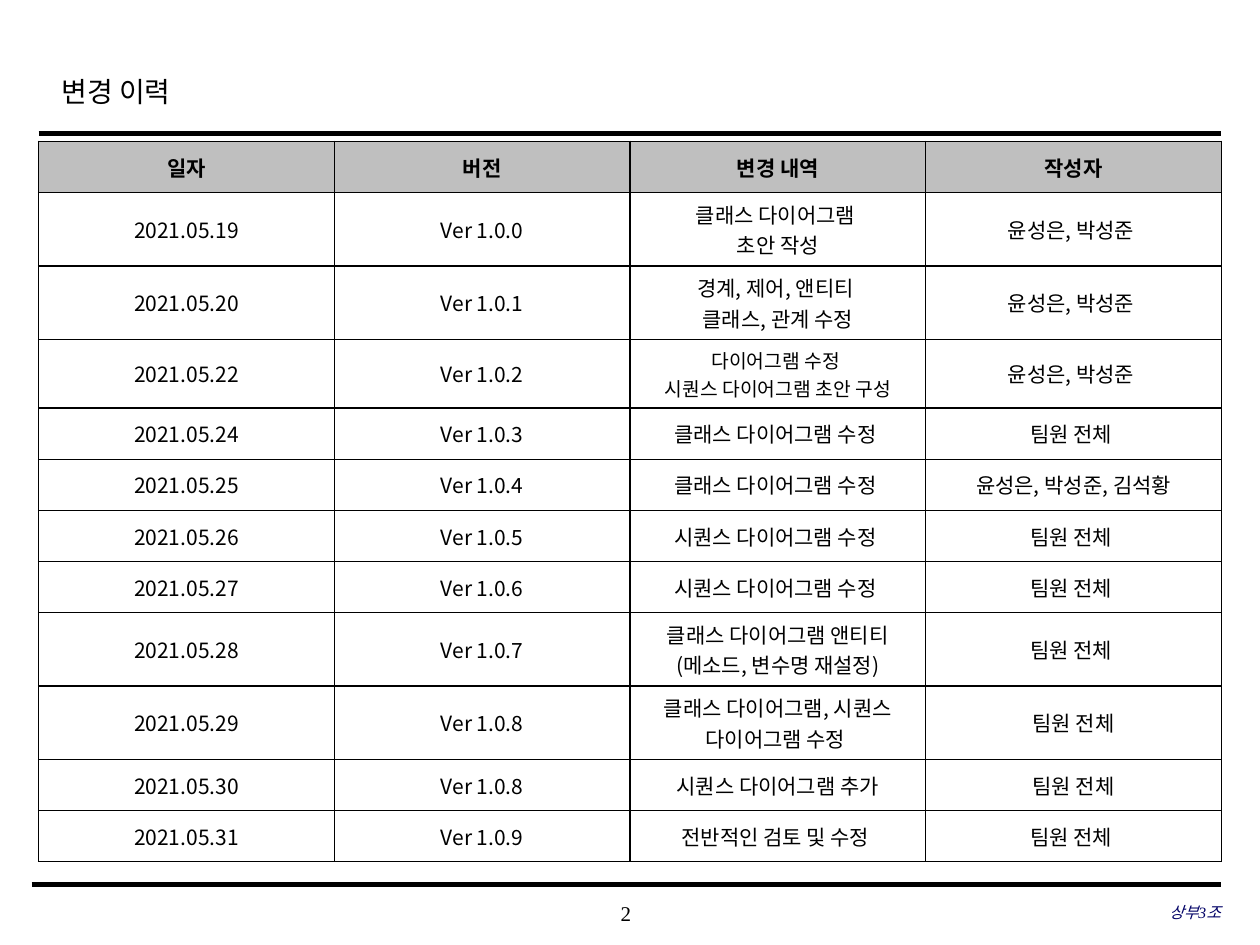
from dataclasses import dataclass

from lxml.etree import SubElement
from pptx import Presentation
from pptx.dml.color import RGBColor
from pptx.enum.shapes import MSO_CONNECTOR
from pptx.enum.text import MSO_ANCHOR, PP_ALIGN
from pptx.oxml.ns import qn
from pptx.slide import Slide
from pptx.table import _Cell
from pptx.text.text import TextFrame
from pptx.util import Cm, Pt

KOREAN = "Noto Sans CJK KR"
SERIF = "Times New Roman"
BLACK = "000000"
HEADINGS = ("일자", "버전", "변경 내역", "작성자")
COLUMN_WIDTH = 5.96
ROW_HEIGHT = 1.03
TALL_ROW = 1.48
COMPACT_ROW = 1.39


@dataclass
class Style:
    size: float
    font: str = KOREAN
    color: str = BLACK
    bold: bool = False
    italic: bool = False
    align: PP_ALIGN = PP_ALIGN.CENTER


@dataclass
class Revision:
    date: str
    version: str
    change: str
    authors: str
    height: float = ROW_HEIGHT
    change_size: float = 12


@dataclass
class Rule:
    left: float
    right: float
    y: float
    weight: float


@dataclass
class FooterText:
    left: float
    top: float
    width: float
    text: str
    style: Style


PAIR = "윤성은, 박성준 "
TEAM = "팀원 전체 "

REVISIONS = (
    Revision("2021.05.19", "Ver 1.0.0", "클래스 다이어그램 \n초안 작성", PAIR, TALL_ROW),
    Revision("2021.05.20", "Ver 1.0.1", "경계, 제어, 앤티티 \n클래스, 관계 수정", PAIR, TALL_ROW),
    Revision("2021.05.22", "Ver 1.0.2", "다이어그램 수정 \n시퀀스 다이어그램 초안 구성", PAIR,
             COMPACT_ROW, 11),
    Revision("2021.05.24", "Ver 1.0.3", "클래스 다이어그램 수정 ", TEAM),
    Revision("2021.05.25", "Ver 1.0.4", "클래스 다이어그램 수정 ", "윤성은, 박성준, 김석황"),
    Revision("2021.05.26", "Ver 1.0.5", "시퀀스 다이어그램 수정 ", TEAM),
    Revision("2021.05.27", "Ver 1.0.6", "시퀀스 다이어그램 수정 ", TEAM),
    Revision("2021.05.28", "Ver 1.0.7", "클래스 다이어그램 앤티티(메소드, 변수명 재설정)", TEAM, TALL_ROW),
    Revision("2021.05.29", "Ver 1.0.8", "클래스 다이어그램, 시퀀스 다이어그램 수정 ", "팀원 전체", TALL_ROW),
    Revision("2021.05.30", "Ver 1.0.8", "시퀀스 다이어그램 추가", "팀원 전체"),
    Revision("2021.05.31", "Ver 1.0.9", "전반적인 검토 및 수정 ", TEAM),
)

RULES = (Rule(0.78, 24.61, 2.69, 2.5), Rule(0.64, 24.61, 17.83, 3))

FOOTERS = (
    FooterText(9.98, 17.98, 5.28, "2", Style(12, SERIF)),
    FooterText(16.84, 17.96, 7.77, "상부3조",
               Style(9, SERIF, "000066", italic=True, align=PP_ALIGN.RIGHT)),
)


def rgb(value: str) -> RGBColor:
    return RGBColor.from_string(value)


def write(frame: TextFrame, text: str, style: Style) -> None:
    frame.text = text
    for paragraph in frame.paragraphs:
        paragraph.alignment = style.align
        for run in paragraph.runs:
            run.font.size = Pt(style.size)
            run.font.name = style.font
            run.font.bold = style.bold
            run.font.italic = style.italic
            run.font.color.rgb = rgb(style.color)
            SubElement(run.font._element, qn("a:ea"), typeface=KOREAN)


def draw_title(slide: Slide, text: str) -> None:
    title = slide.shapes.title
    title.left, title.top, title.width, title.height = Cm(0.99), Cm(1.24), Cm(19.18), Cm(1.27)
    write(title.text_frame, text, Style(16, SERIF, align=PP_ALIGN.LEFT))
    title.text_frame.vertical_anchor = MSO_ANCHOR.TOP
    title.text_frame.paragraphs[0].line_spacing = 1.2


def draw_rule(slide: Slide, rule: Rule) -> None:
    connector = slide.shapes.add_connector(
        MSO_CONNECTOR.STRAIGHT, Cm(rule.left), Cm(rule.y), Cm(rule.right), Cm(rule.y))
    connector.line.color.rgb = rgb(BLACK)
    connector.line.width = Pt(rule.weight)
    SubElement(connector._element.spPr, qn("a:effectLst"))


def draw_footer(slide: Slide, footer: FooterText) -> None:
    frame = slide.shapes.add_textbox(
        Cm(footer.left), Cm(footer.top), Cm(footer.width), Cm(0.84)).text_frame
    frame.word_wrap = True
    frame.margin_left = frame.margin_right = frame.margin_top = frame.margin_bottom = 0
    frame.vertical_anchor = MSO_ANCHOR.MIDDLE
    write(frame, footer.text, footer.style)


def fill_cell(cell: _Cell, text: str, style: Style, fill: str) -> None:
    write(cell.text_frame, text, style)
    cell.vertical_anchor = MSO_ANCHOR.MIDDLE
    properties = cell._tc.get_or_add_tcPr()
    for side in ("a:lnL", "a:lnR", "a:lnT", "a:lnB"):
        border = SubElement(properties, qn(side), w=str(Pt(1)))
        SubElement(SubElement(border, qn("a:solidFill")), qn("a:srgbClr"), val=BLACK)
    cell.fill.solid()
    cell.fill.fore_color.rgb = rgb(fill)


def draw_history(slide: Slide) -> None:
    heights = [ROW_HEIGHT, *(revision.height for revision in REVISIONS)]
    history = slide.shapes.add_table(
        len(heights), len(HEADINGS), Cm(0.78), Cm(2.85),
        Cm(COLUMN_WIDTH * len(HEADINGS)), Cm(sum(heights))).table
    for column in history.columns:
        column.width = Cm(COLUMN_WIDTH)
    for row, height in zip(history.rows, heights):
        row.height = Cm(height)
    for column, heading in enumerate(HEADINGS):
        fill_cell(history.cell(0, column), heading, Style(12, bold=True), "BFBFBF")
    for row, revision in enumerate(REVISIONS, start=1):
        entries = (
            (revision.date, 12),
            (revision.version, 12),
            (revision.change, revision.change_size),
            (revision.authors, 12),
        )
        for column, (text, size) in enumerate(entries):
            fill_cell(history.cell(row, column), text, Style(size), "FFFFFF")


def main() -> None:
    presentation = Presentation()
    presentation.slide_width, presentation.slide_height = Cm(25.4), Cm(19.05)
    slide = presentation.slides.add_slide(presentation.slide_layouts[5])
    for rule in RULES:
        draw_rule(slide, rule)
    draw_title(slide, "변경 이력")
    for footer in FOOTERS:
        draw_footer(slide, footer)
    draw_history(slide)
    presentation.save("out.pptx")


if __name__ == "__main__":
    main()
